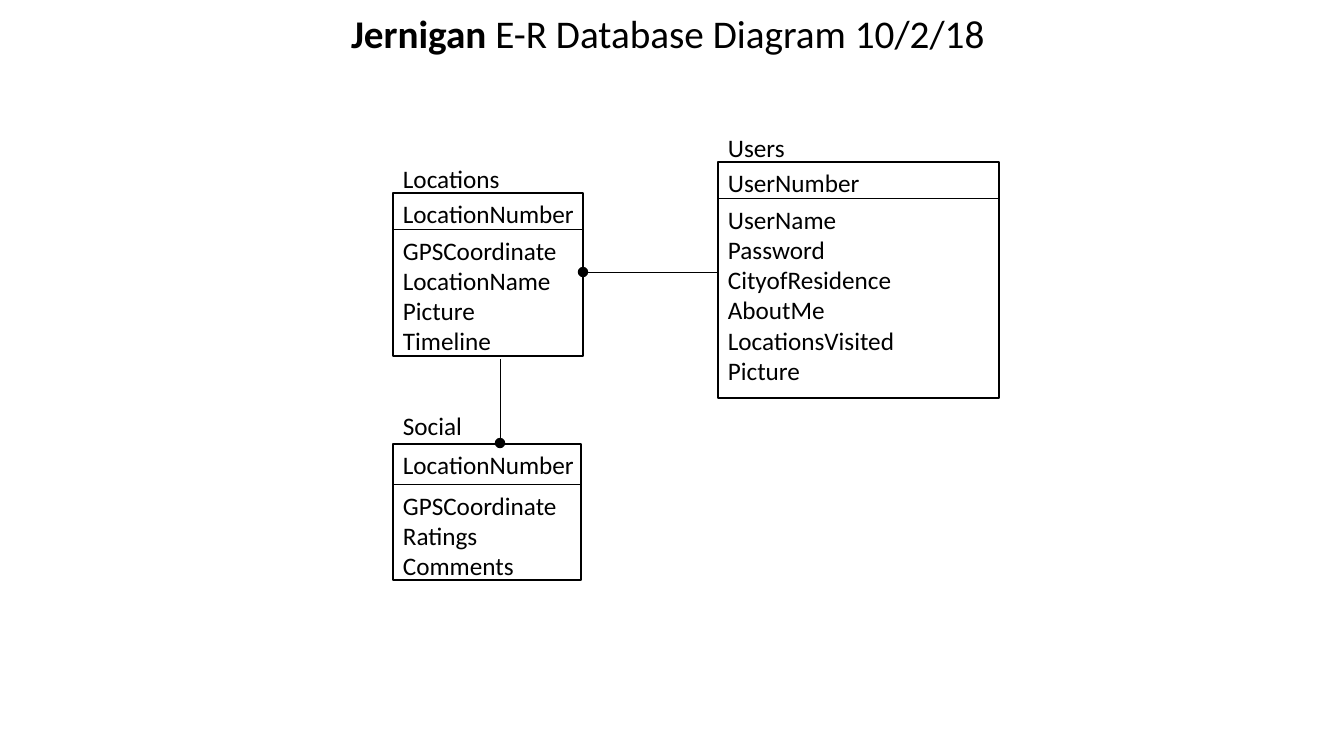
from lxml import etree
from pptx import Presentation
from pptx import util as u
from pptx.dml.color import RGBColor
from pptx.enum import shapes, text
from pptx.oxml import ns

# Content: box is left, top, width, height; text widths are label, key, attributes
TITLE = [("Jernigan ", True), ("E-R Database Diagram 10/2/18 ", False)]
ENTITIES = [
    dict(name="Locations", key="LocationNumber", box=(393, 193, 190, 163), header=36,
         widths=(118, 194, 175),
         attributes=["GPSCoordinate", "LocationName", "Picture", "Timeline"]),
    dict(name="Users", key="UserNumber", box=(718, 162, 281, 236), header=36,
         widths=(78, 153, 188),
         attributes=["UserName", "Password", "CityofResidence", "AboutMe",
                     "LocationsVisited", "Picture"]),
    dict(name="Social", key="LocationNumber", box=(393, 444, 188, 136), header=40,
         widths=(80, 194, 175),
         attributes=["GPSCoordinate", "Ratings", "Comments"]),
]
# Each relation runs from its dotted end to its plain end
RELATIONS = [((583, 272), (718, 272)), ((500, 443), (500, 359))]
DOT = 9
LINE_HEIGHT, TEXT_PADDING = 30.5, 10
FONT, BLACK = "Calibri", "000000"


def px(value):
    return u.Emu(round(value * 914400 / 100.8))


def colour(value):
    return RGBColor.from_string(value)


presentation = Presentation()
presentation.slide_width, presentation.slide_height = px(1344), px(756)
slide = presentation.slides.add_slide(presentation.slide_layouts[5])


def add_run(paragraph, words, size, bold=False):
    run = paragraph.add_run()
    run.text = words
    run.font.name, run.font.size, run.font.bold = FONT, u.Pt(size), bold
    run.font.color.rgb = colour(BLACK)


def add_text(left, top, width, lines):
    height = TEXT_PADDING + LINE_HEIGHT * len(lines)
    frame = slide.shapes.add_textbox(px(left), px(top), px(width), px(height)).text_frame
    frame.word_wrap = False
    frame.auto_size = text.MSO_AUTO_SIZE.SHAPE_TO_FIT_TEXT
    for index, line in enumerate(lines):
        paragraph = frame.add_paragraph() if index else frame.paragraphs[0]
        add_run(paragraph, line, 18)


def add_outline(kind, left, top, width, height, fill=None):
    shape = slide.shapes.add_shape(kind, px(left), px(top), px(width), px(height))
    shape.shadow.inherit = False
    if fill:
        shape.fill.solid()
        shape.fill.fore_color.rgb = colour(fill)
    else:
        shape.fill.background()
    shape.line.color.rgb = colour(BLACK)
    shape.line.width = u.Pt(1)


def add_line(start, end):
    line = slide.shapes.add_connector(shapes.MSO_CONNECTOR.STRAIGHT,
                                      *map(px, start + end))
    line.line.color.rgb = colour(BLACK)
    line.line.width = u.Pt(0.5)
    etree.SubElement(line._element.spPr, ns.qn("a:effectLst"))


# Title
title = slide.shapes.title
title.left, title.top, title.width, title.height = map(px, (0, 4, 1344, 57))
title.text_frame.vertical_anchor = text.MSO_ANCHOR.TOP
title.text_frame.word_wrap = True
heading = title.text_frame.paragraphs[0]
heading.alignment = text.PP_ALIGN.CENTER
heading.line_spacing = 1.0
for words, bold in TITLE:
    add_run(heading, words, 28, bold)

# Entities: name above the box, key in the header, attributes below the divider
for entity in ENTITIES:
    left, top, width, height = entity["box"]
    header = entity["header"]
    name_width, key_width, attributes_width = entity["widths"]
    divider = top + header
    add_outline(shapes.MSO_SHAPE.RECTANGLE, left, top, width, height)
    add_line((left, divider), (left + width, divider))
    add_text(left, top - header + 1, name_width, [entity["name"]])
    add_text(left, top, key_width, [entity["key"]])
    add_text(left, divider + 1, attributes_width, entity["attributes"])

# Relations
for start, end in RELATIONS:
    add_line(start, end)
    add_outline(shapes.MSO_SHAPE.OVAL, start[0] - DOT / 2, start[1] - DOT / 2,
                DOT, DOT, BLACK)

presentation.save("out.pptx")
